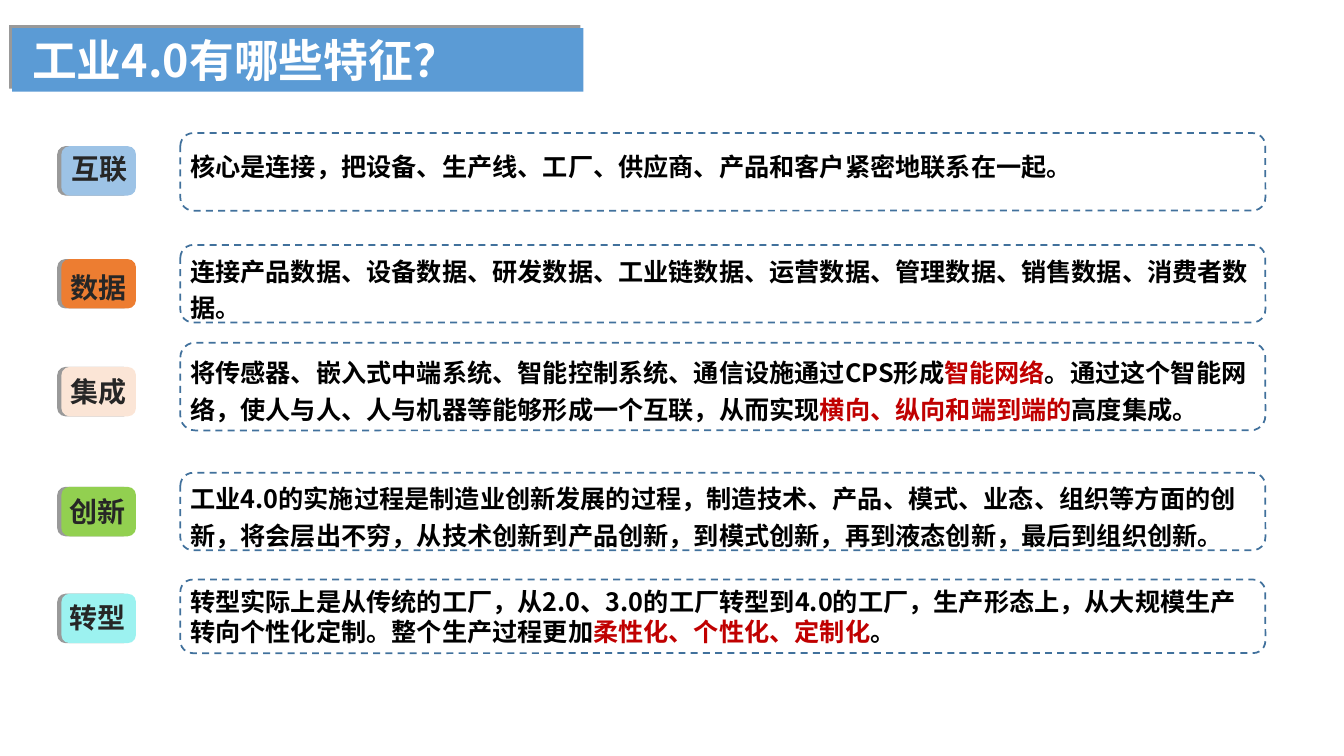
from dataclasses import dataclass

from lxml import etree
from pptx import Presentation
from pptx.dml.color import RGBColor
from pptx.enum.dml import MSO_LINE
from pptx.enum.shapes import MSO_SHAPE
from pptx.enum.text import MSO_AUTO_SIZE, PP_ALIGN
from pptx.oxml.ns import qn
from pptx.util import Pt

RECTANGLE = MSO_SHAPE.RECTANGLE
ROUNDED = MSO_SHAPE.ROUNDED_RECTANGLE
DASH = MSO_LINE.DASH
GROW = MSO_AUTO_SIZE.SHAPE_TO_FIT_TEXT
LEFT, CENTER = PP_ALIGN.LEFT, PP_ALIGN.CENTER

WHITE = RGBColor(0xFF, 0xFF, 0xFF)
BLACK = RGBColor(0x00, 0x00, 0x00)
CHARCOAL = RGBColor(0x26, 0x26, 0x26)
RED = RGBColor(0xC0, 0x00, 0x00)
BLUE = RGBColor(0x5B, 0x9B, 0xD5)
LIGHT_BLUE = RGBColor(0x9D, 0xC3, 0xE6)
ORANGE = RGBColor(0xED, 0x7D, 0x31)
PEACH = RGBColor(0xFB, 0xE5, 0xD6)
GREEN = RGBColor(0x92, 0xD0, 0x50)
AQUA = RGBColor(0x9C, 0xF2, 0xF0)
OUTLINE = RGBColor(0x41, 0x71, 0x9C)

TAG_LEFT, TAG_WIDTH, TAG_HEIGHT = 43.92, 53.28, 35.28
LABEL_WIDTH, LABEL_HEIGHT = 64.08, 31.68
BOX_LEFT, BOX_WIDTH = 128.88, 775.44


@dataclass
class Feature:
    label: str
    color: RGBColor
    tag_top: float
    label_left: float
    label_top: float
    box_top: float
    box_height: float
    text_top: float
    text_height: float
    spacing: float
    runs: list


FEATURES = [
    Feature("互联", LIGHT_BLUE, 104.4, 38.88, 104.4, 95.04, 55.44, 104.4, 28.8, 1.0, [
        ("核心是连接，把设备、生产线、工厂、供应商、产品和客户紧密地联系在一起。", BLACK)]),
    Feature("数据", ORANGE, 185.04, 38.16, 189.36, 174.96, 55.44, 174.96, 59.04, 1.2, [
        ("连接产品数据、设备数据、研发数据、工业链数据、运营数据、管理数据、"
         "销售数据、消费者数据。", BLACK)]),
    Feature("集成", PEACH, 262.08, 38.16, 264.24, 244.8, 62.64, 247.68, 59.04, 1.2, [
        ("将传感器、嵌入式中端系统、智能控制系统、通信设施通过CPS形成", BLACK),
        ("智能网络", RED),
        ("。通过这个智能网络，使人与人、人与机器等能够形成一个互联，从而实现", BLACK),
        ("横向、纵向和端到端的", RED),
        ("高度集成。", BLACK)]),
    Feature("创新", GREEN, 347.76, 37.44, 349.92, 337.68, 55.44, 337.68, 59.04, 1.2, [
        ("工业4.0的实施过程是制造业创新发展的过程，制造技术、产品、模式、业态、"
         "组织等方面的创新，将会层出不穷，从技术创新到产品创新，到模式创新，"
         "再到液态创新，最后到组织创新。", BLACK)]),
    Feature("转型", AQUA, 424.08, 37.44, 425.52, 414, 52.56, 415.44, 50.4, 1.0, [
        ("转型实际上是从传统的工厂，从2.0、3.0的工厂转型到4.0的工厂，生产形态上，"
         "从大规模生产转向个性化定制。整个生产过程更加", BLACK),
        ("柔性化、个性化、定制化", RED),
        ("。", BLACK)]),
]


class FeatureSlide:
    font_name = "Noto Sans CJK SC"

    def __init__(self, presentation):
        self.slide = presentation.slides.add_slide(presentation.slide_layouts[6])

    def add_shape(self, kind, left, top, width, height):
        shape = self.slide.shapes.add_shape(kind, Pt(left), Pt(top), Pt(width), Pt(height))
        shape.shadow.inherit = False
        return shape

    def add_panel(self, kind, left, top, width, height, color, shadow_angle):
        """Filled shape with a hard, 3 pt shadow."""
        shape = self.add_shape(kind, left, top, width, height)
        shape.fill.solid()
        shape.fill.fore_color.rgb = color
        shape.line.fill.background()
        effects = shape._element.spPr.find(qn("a:effectLst"))
        shadow = etree.SubElement(effects, qn("a:outerShdw"), blurRad="0", dist=str(Pt(3)),
                                  dir=str(shadow_angle * 60000), algn="ctr", rotWithShape="0")
        black = etree.SubElement(shadow, qn("a:srgbClr"), val=str(BLACK))
        etree.SubElement(black, qn("a:alpha"), val="40000")

    def add_dashed_box(self, left, top, width, height):
        shape = self.add_shape(ROUNDED, left, top, width, height)
        shape.fill.background()
        shape.line.color.rgb = OUTLINE
        shape.line.width = Pt(1.25)
        shape.line.dash_style = DASH

    def add_text(self, left, top, width, height, runs, size,
                 align=LEFT, spacing=1.0, inset=7.2):
        box = self.slide.shapes.add_textbox(Pt(left), Pt(top), Pt(width), Pt(height))
        frame = box.text_frame
        frame.word_wrap = True
        frame.auto_size = GROW
        frame.margin_left = Pt(inset)
        paragraph = frame.paragraphs[0]
        paragraph.alignment = align
        paragraph.line_spacing = spacing
        for text, color in runs:
            run = paragraph.add_run()
            run.text = text
            run.font.size = Pt(size)
            run.font.bold = True
            run.font.color.rgb = color
            run.font.name = self.font_name
            etree.SubElement(run.font._element, qn("a:ea"), typeface=self.font_name)


def main():
    presentation = Presentation()
    presentation.slide_width, presentation.slide_height = Pt(960.48), Pt(540)
    page = FeatureSlide(presentation)

    # Title banner
    page.add_panel(RECTANGLE, 8.64, 20.16, 408.24, 45.36, BLUE, 225)
    page.add_text(8.64, 20.16, 408.24, 46.08, [("工业4.0有哪些特征？", WHITE)], 32, inset=14.4)

    # One row per feature: coloured tag, dashed box and description
    for row in FEATURES:
        page.add_panel(ROUNDED, TAG_LEFT, row.tag_top, TAG_WIDTH, TAG_HEIGHT, row.color, 180)
        page.add_text(row.label_left, row.label_top, LABEL_WIDTH, LABEL_HEIGHT,
                      [(row.label, CHARCOAL)], 20, align=CENTER)
        page.add_dashed_box(BOX_LEFT, row.box_top, BOX_WIDTH, row.box_height)
        page.add_text(BOX_LEFT, row.text_top, BOX_WIDTH, row.text_height,
                      row.runs, 18, spacing=row.spacing)

    presentation.save("out.pptx")


if __name__ == "__main__":
    main()
